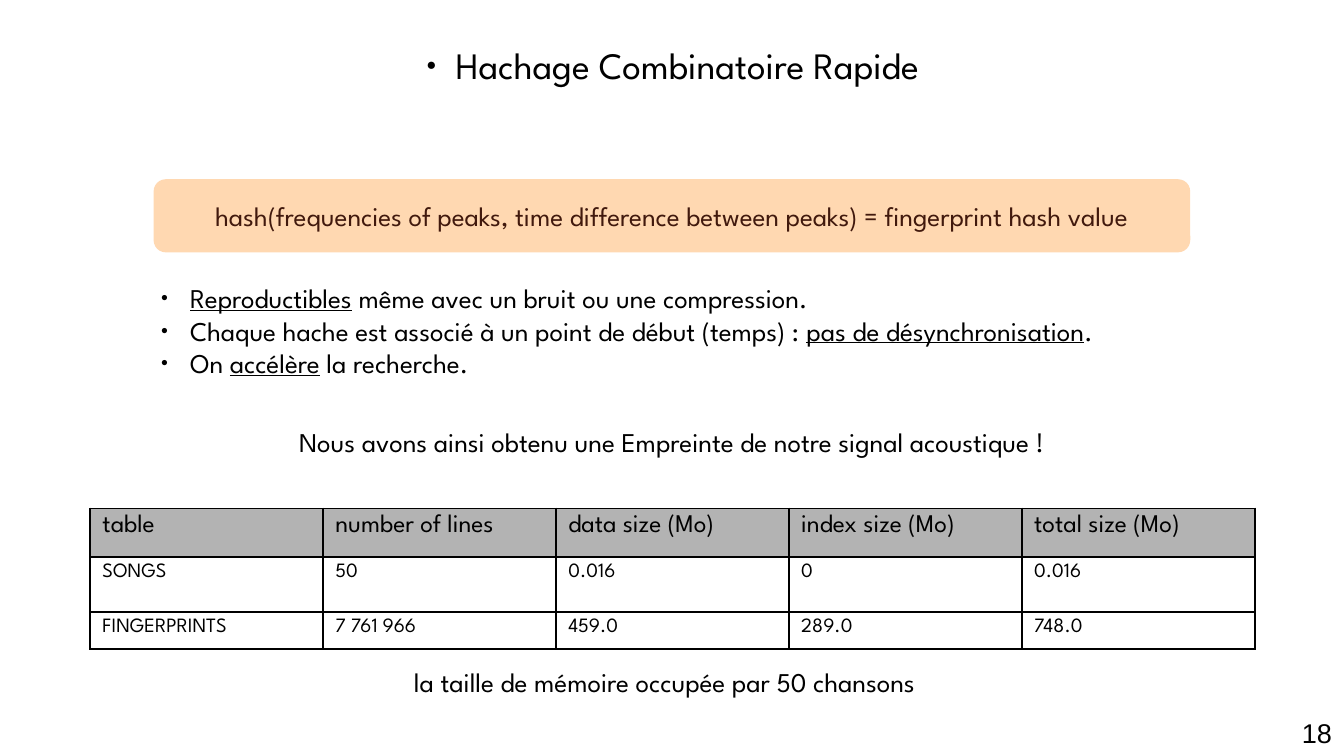
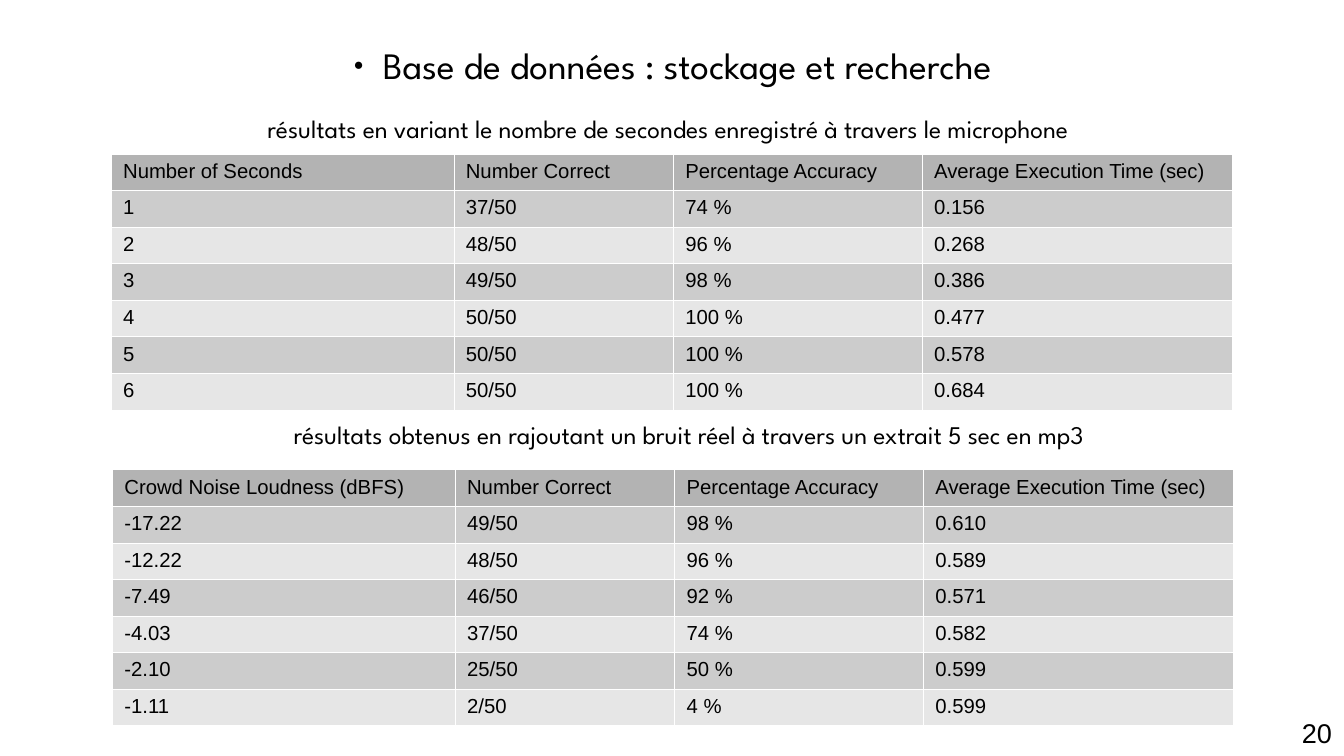
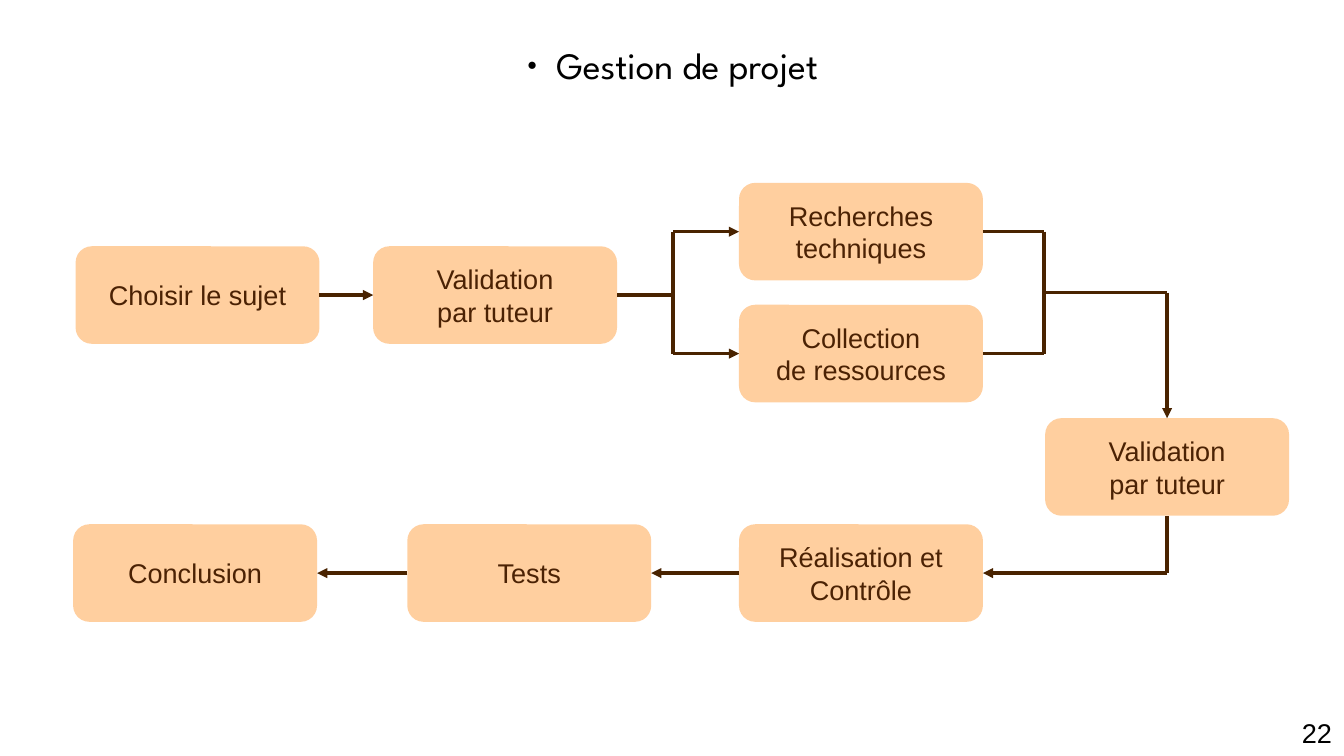
from dataclasses import dataclass
from lxml.etree import SubElement
from pptx import Presentation
from pptx.dml.color import RGBColor
from pptx.enum.shapes import MSO_CONNECTOR, MSO_SHAPE
from pptx.enum.text import MSO_ANCHOR, MSO_AUTO_SIZE, PP_ALIGN
from pptx.oxml.ns import qn
from pptx.util import Inches, Pt


@dataclass(frozen=True)
class Theme:
    spartan: str = "League Spartan"
    arial: str = "Arial"
    black: str = "000000"
    white: str = "FFFFFF"
    header: str = "B3B3B3"
    bands: tuple = ("CCCCCC", "E6E6E6")
    formula: tuple = ("FF860D", 32, "41190D")
    step: tuple = ("FF972F", 46, "4B2204")
    arrow: str = "492300"
    title_size: float = 22
    body_size: float = 16
    caption_size: float = 15
    cell_size: float = 12


TOP, LEFT, BOTTOM, RIGHT = range(4)


def apply(obj, values):
    for name, value in values.items():
        setattr(obj, name, value)


def box(*lengths):
    return [Inches(v) for v in lengths]


class Deck:
    def __init__(self, theme):
        self.t = theme
        self.prs = Presentation()
        apply(self.prs, {"slide_width": Inches(11.02), "slide_height": Inches(6.2)})
        self.s = None

    def slide(self, title, number):
        self.s = self.prs.slides.add_slide(self.prs.slide_layouts[5])
        sp = self.s.shapes.title
        apply(sp, dict(zip(("left", "top", "width", "height"), box(1.62, 0.3, 7.79, 0.6))))
        self.set_text(sp.text_frame, [title], size=self.t.title_size, align=PP_ALIGN.CENTER, bullet=True)
        self.text([str(number)], 6.83, 5.83, 4.19, 0.37, font=self.t.arial, align=PP_ALIGN.RIGHT)

    def bullet(self, p):
        pPr = p._p.get_or_add_pPr()
        pPr.set("marL", str(Inches(0.24)))
        pPr.set("indent", str(Inches(-0.24)))
        color = SubElement(pPr, qn("a:buClr"))
        SubElement(color, qn("a:srgbClr"), val=self.t.black)
        SubElement(pPr, qn("a:buSzPct"), val="45000")
        SubElement(pPr, qn("a:buFont"), typeface=self.t.arial)
        SubElement(pPr, qn("a:buChar"), char="●")

    def set_text(self, tf, lines, size=None, font=None, color=None, align=PP_ALIGN.LEFT,
                 anchor=MSO_ANCHOR.TOP, bullet=False):
        apply(tf, {"word_wrap": True, "auto_size": MSO_AUTO_SIZE.NONE, "vertical_anchor": anchor})
        for i, line in enumerate(lines):
            p = tf.add_paragraph() if i else tf.paragraphs[0]
            p.alignment = align
            if bullet:
                self.bullet(p)
            for j, part in enumerate(line.split("_")):
                if not part:
                    continue
                r = p.add_run()
                r.text = part
                apply(r.font, {"size": Pt(size or self.t.body_size), "name": font or self.t.spartan})
                r.font.color.rgb = RGBColor.from_string(color or self.t.black)
                if j % 2:
                    r.font.underline = True

    def text(self, lines, x, y, w, h, **style):
        sp = self.s.shapes.add_textbox(*box(x, y, w, h))
        self.set_text(sp.text_frame, lines, **style)

    def panel(self, lines, x, y, w, h, look, font):
        fill, alpha, color = look
        sp = self.s.shapes.add_shape(MSO_SHAPE.ROUNDED_RECTANGLE, *box(x, y, w, h))
        sp.shadow.inherit = False
        sp.fill.solid()
        sp.fill.fore_color.rgb = RGBColor.from_string(fill)
        rgb = sp._element.spPr.find(qn("a:solidFill")).find(qn("a:srgbClr"))
        SubElement(rgb, qn("a:alpha"), val=str(alpha * 1000))
        sp.line.fill.background()
        self.set_text(sp.text_frame, lines, font=font, color=color,
                      align=PP_ALIGN.CENTER, anchor=MSO_ANCHOR.MIDDLE)
        return sp

    def step(self, label, x, y):
        return self.panel(label.split("\n"), x, y, 2, 0.8, self.t.step, self.t.arial)

    def link(self, start, end, arrow=False):
        c = self.s.shapes.add_connector(MSO_CONNECTOR.STRAIGHT, *self.point(start), *self.point(end))
        for node, join in ((start, c.begin_connect), (end, c.end_connect)):
            if not isinstance(node[0], (int, float)):
                join(*node)
        c.line.color.rgb = RGBColor.from_string(self.t.arrow)
        c.line.width = Pt(0)
        spPr = c._element.spPr
        if arrow:
            SubElement(spPr.find(qn("a:ln")), qn("a:tailEnd"), type="triangle")
        SubElement(spPr, qn("a:effectLst"))

    def point(self, node):
        if isinstance(node[0], (int, float)):
            return box(*node)
        sp, side = node
        dx, dy = ((1, 0), (0, 1), (1, 2), (2, 1))[side]
        return sp.left + sp.width * dx // 2, sp.top + sp.height * dy // 2

    def table(self, rows, x, y, widths, heights, fills, border, sizes, font):
        shape = self.s.shapes.add_table(len(rows), len(widths), *box(x, y, sum(widths), sum(heights)))
        tbl = shape.table
        apply(tbl, {"first_row": False, "horz_banding": False})
        for column, w in zip(tbl.columns, widths):
            column.width = Inches(w)
        for i, row in enumerate(rows):
            tbl.rows[i].height = Inches(heights[i])
            for j, value in enumerate(row):
                cell = tbl.cell(i, j)
                self.border(cell, *border)
                cell.fill.solid()
                cell.fill.fore_color.rgb = RGBColor.from_string(fills[i])
                self.set_text(cell.text_frame, [value], size=sizes[i], font=font)

    def border(self, cell, color, width):
        tcPr = cell._tc.get_or_add_tcPr()
        for side in ("a:lnL", "a:lnR", "a:lnT", "a:lnB"):
            ln = SubElement(tcPr, qn(side), w=str(Pt(width)))
            fill = SubElement(ln, qn("a:solidFill"))
            SubElement(fill, qn("a:srgbClr"), val=color)

    def results(self, first, x, y, rows):
        t = self.t
        header = (first, "Number Correct", "Percentage Accuracy", "Average Execution Time (sec)")
        n = len(rows)
        self.table([header, *rows], x, y, (2.81, 1.8, 2.04, 2.54), [0.3] * (n + 1),
                   [t.header] + [t.bands[i % 2] for i in range(n)],
                   (t.white, 0.06), [t.cell_size] * (n + 1), t.arial)


def hashing(d):
    t = d.t
    d.slide("Hachage Combinatoire Rapide", 18)
    d.text(["Nous avons ainsi obtenu une Empreinte de notre signal acoustique !"],
           1.46, 3.44, 8.1, 0.5, align=PP_ALIGN.CENTER)
    d.panel(["hash(frequencies of peaks, time difference between peaks) = fingerprint hash value"],
            1.26, 1.47, 8.5, 0.6, t.formula, t.spartan)
    d.text(["_Reproductibles_ même avec un bruit ou une compression.",
            "Chaque hache est associé à un point de début (temps) : _pas de désynchronisation_.",
            "On _accélère_ la recherche."], 1.22, 2.26, 8.59, 1.31, bullet=True)
    d.text(["la taille de mémoire occupée par 50 chansons"],
           1.4, 5.41, 8.1, 0.5, align=PP_ALIGN.CENTER)
    d.table([("table", "number of lines", "data size (Mo)", "index size (Mo)", "total size (Mo)"),
             ("SONGS", "50", "0.016", "0", "0.016"),
             ("FINGERPRINTS", "7 761 966", "459.0", "289.0", "748.0")],
            0.74, 4.17, [1.91] * 5, (0.4, 0.45, 0.3), (t.header, t.white, t.white),
            (t.black, 1.19), (t.caption_size, t.cell_size, t.cell_size), t.spartan)


def database(d):
    d.slide("Base de données : stockage et recherche", 20)
    caption = {"size": d.t.caption_size, "align": PP_ALIGN.CENTER}
    d.text(["résultats en variant le nombre de secondes enregistré à travers le microphone"],
           0.93, 0.88, 9.1, 0.38, **caption)
    d.text(["résultats obtenus en rajoutant un bruit réel à travers un extrait 5 sec en mp3"],
           1.9, 3.39, 7.5, 0.4, **caption)
    d.results("Number of Seconds", 0.91, 1.26, [
        ("1", "37/50", "74 %", "0.156"),
        ("2", "48/50", "96 %", "0.268"),
        ("3", "49/50", "98 %", "0.386"),
        ("4", "50/50", "100 %", "0.477"),
        ("5", "50/50", "100 %", "0.578"),
        ("6", "50/50", "100 %", "0.684")])
    d.results("Crowd Noise Loudness (dBFS)", 0.92, 3.85, [
        ("-17.22", "49/50", "98 %", "0.610"),
        ("-12.22", "48/50", "96 %", "0.589"),
        ("-7.49", "46/50", "92 %", "0.571"),
        ("-4.03", "37/50", "74 %", "0.582"),
        ("-2.10", "25/50", "50 %", "0.599"),
        ("-1.11", "2/50", "4 %", "0.599")])


def project(d):
    d.slide("Gestion de projet", 22)
    subject = d.step("Choisir le sujet", 0.62, 2.02)
    approval = d.step("Validation\npar tuteur", 3.06, 2.02)
    research = d.step("Recherches\ntechniques", 6.06, 1.5)
    resources = d.step("Collection\nde ressources", 6.06, 2.5)
    build = d.step("Réalisation et\nContrôle", 6.06, 4.3)
    review = d.step("Validation\npar tuteur", 8.57, 3.43)
    tests = d.step("Tests", 3.34, 4.3)
    conclusion = d.step("Conclusion", 0.6, 4.3)

    split, merge, turn = 5.52, 8.56, 9.57
    high, low = 1.9, 2.9
    d.link((subject, RIGHT), (approval, LEFT), arrow=True)
    d.link((approval, RIGHT), (split, 2.42))
    d.link((split, high), (split, low))
    d.link((merge, high), (merge, low))
    for task, y in ((research, high), (resources, low)):
        d.link((split, y), (task, LEFT), arrow=True)
        d.link((task, RIGHT), (merge, y))
    d.link((merge, 2.4), (turn, 2.4))
    d.link((turn, 2.4), (review, TOP), arrow=True)
    d.link((review, BOTTOM), (turn, 4.7))
    d.link((turn, 4.7), (build, RIGHT), arrow=True)
    d.link((build, LEFT), (tests, RIGHT), arrow=True)
    d.link((tests, LEFT), (conclusion, RIGHT), arrow=True)


def main():
    d = Deck(Theme())
    for make in (hashing, database, project):
        make(d)
    d.prs.save("out.pptx")


if __name__ == "__main__":
    main()
